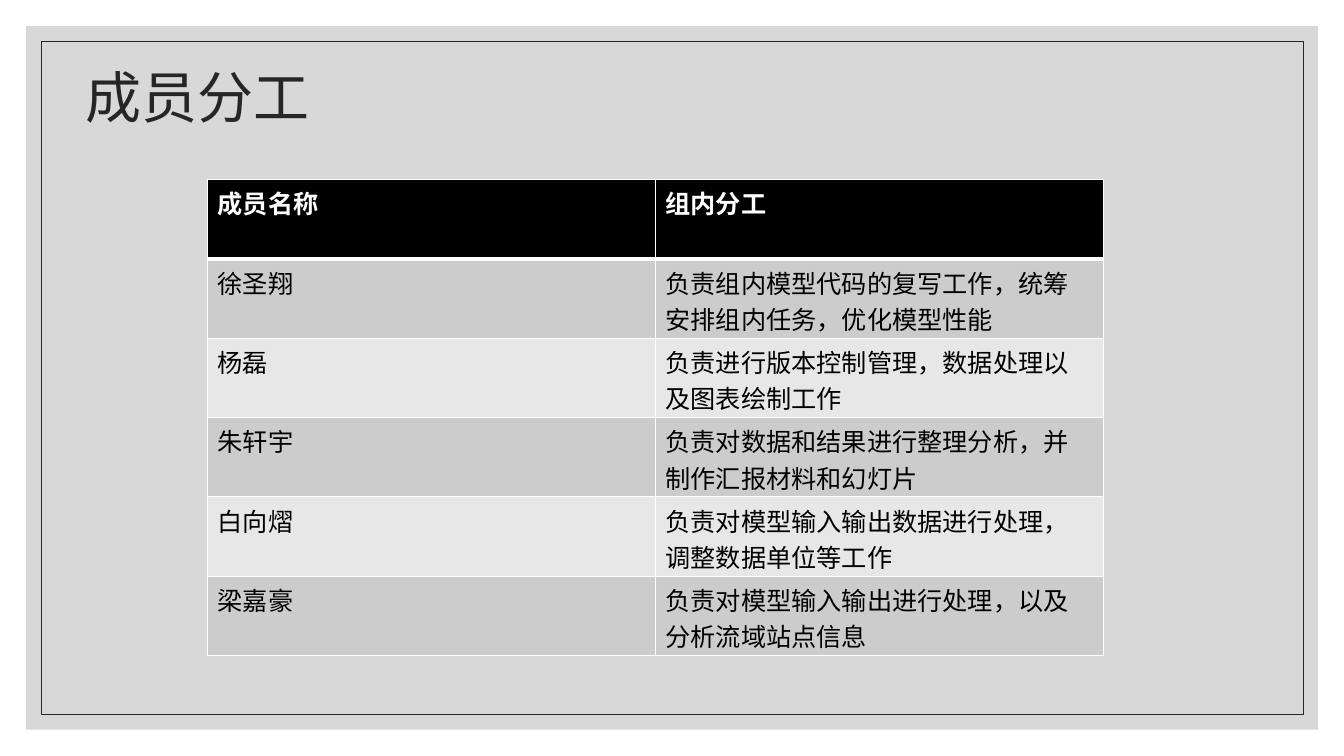
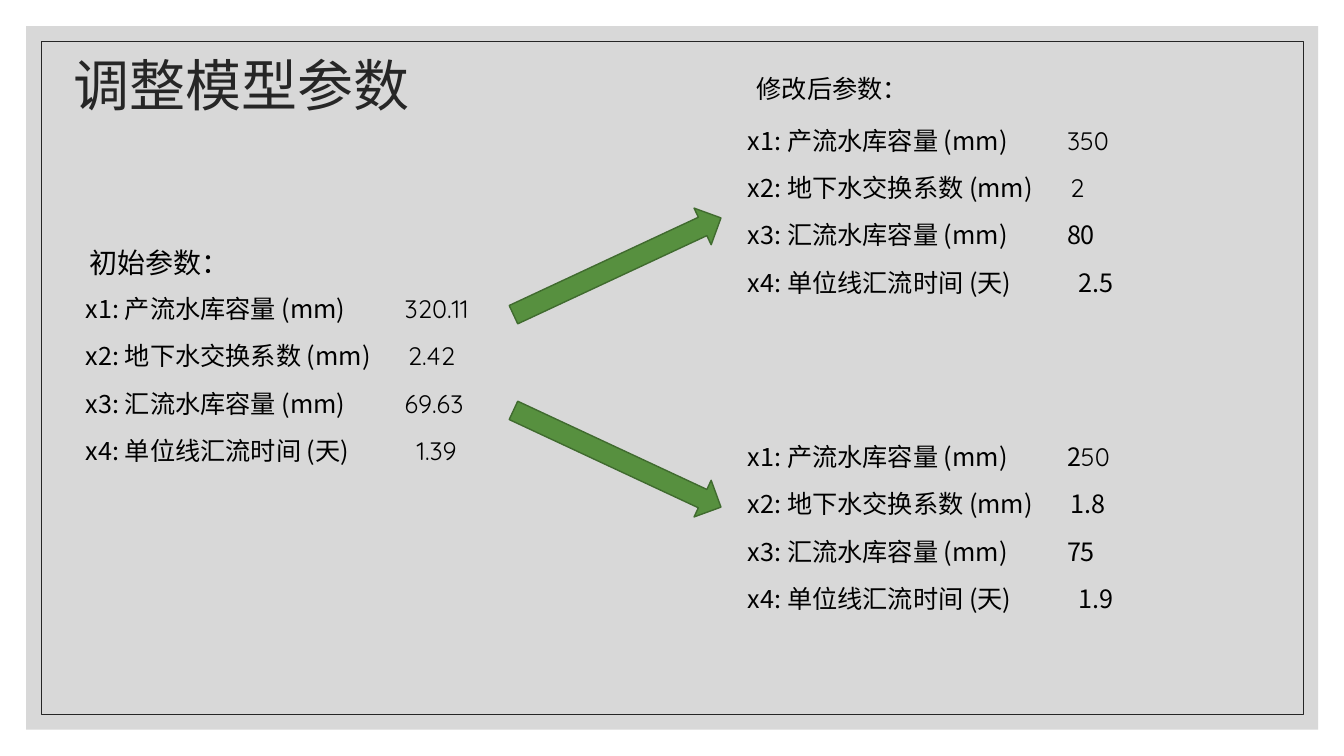
"""Build two slides: the team's division of work and the tuned model parameters."""
import pptx
import pptx.dml.color
import pptx.enum.shapes
import pptx.enum.text
import pptx.oxml.ns
import pptx.util
from lxml import etree

Cm = pptx.util.Cm
Pt = pptx.util.Pt
RGBColor = pptx.dml.color.RGBColor
SHAPE = pptx.enum.shapes.MSO_SHAPE
ALIGN = pptx.enum.text.PP_ALIGN
ANCHOR = pptx.enum.text.MSO_ANCHOR
qn = pptx.oxml.ns.qn

BLACK = RGBColor(0x00, 0x00, 0x00)
WHITE = RGBColor(0xFF, 0xFF, 0xFF)
INK = RGBColor(0x26, 0x26, 0x26)
PANEL = RGBColor(0xBF, 0xBF, 0xBF)
BAND_DARK = RGBColor(0xCC, 0xCC, 0xCC)
BAND_LIGHT = RGBColor(0xE7, 0xE7, 0xE7)
GREEN = RGBColor(0x57, 0x90, 0x3F)
GREEN_EDGE = RGBColor(0x40, 0x6B, 0x2F)
CJK = "Noto Sans CJK SC"
LATIN = "Quicksand"
PLAIN_STYLE = "{2D5ABB26-0587-4C30-8999-92F81FD0307C}"


def add_run(p, text, size=18, font=CJK, color=BLACK, bold=False):
    r = p.add_run()
    r.text = text
    r.font.size = Pt(size)
    r.font.bold = bold
    r.font.color.rgb = color
    r.font.name = font
    etree.SubElement(r.font._element, qn("a:ea"), typeface=CJK)


def add_plain_table(s, left, top, col_widths, row_height, rows):
    frame = s.shapes.add_table(rows, len(col_widths), Cm(left), Cm(top),
                               Cm(sum(col_widths)), Cm(row_height * rows))
    table = frame.table
    table.first_row = False
    table.horz_banding = False
    table._tbl.tblPr.find(qn("a:tableStyleId")).text = PLAIN_STYLE
    for col, width in zip(table.columns, col_widths):
        col.width = Cm(width)
    for row in table.rows:
        row.height = Cm(row_height)
    return table


prs = pptx.Presentation()
prs.slide_width = Cm(33.87)
prs.slide_height = Cm(19.05)

TITLES = [
    ("成员分工", 1.19, 1.32, 7.59),
    ("调整模型参数", 1.02, 1.02, 10.13),
]
for title, left, top, width in TITLES:
    s = prs.slides.add_slide(prs.slide_layouts[6])

    panel = s.shapes.add_shape(SHAPE.RECTANGLE, Cm(0.66), Cm(0.66), Cm(32.56), Cm(17.73))
    panel.shadow.inherit = False
    panel.fill.solid()
    panel.fill.fore_color.rgb = PANEL
    panel.line.fill.background()
    color = panel._element.spPr.find(qn("a:solidFill"))[0]
    etree.SubElement(color, qn("a:alpha"), val="60000")

    border = s.shapes.add_shape(SHAPE.RECTANGLE, Cm(1.04), Cm(1.04), Cm(31.8), Cm(16.97))
    border.shadow.inherit = False
    border.fill.background()
    border.line.color.rgb = INK
    border.line.width = Pt(0.5)

    tf = s.shapes.add_textbox(Cm(left), Cm(top), Cm(width), Cm(2.44)).text_frame
    tf.word_wrap = True
    tf.vertical_anchor = ANCHOR.MIDDLE
    p = tf.paragraphs[0]
    p.alignment = ALIGN.CENTER
    p.line_spacing = 0.9
    add_run(p, title, size=40, color=INK)

team_slide, params_slide = prs.slides

TEAM = [
    ("成员名称", "组内分工"),
    ("徐圣翔", "负责组内模型代码的复写工作，统筹安排组内任务，优化模型性能"),
    ("杨磊", "负责进行版本控制管理，数据处理以及图表绘制工作"),
    ("朱轩宇", "负责对数据和结果进行整理分析，并制作汇报材料和幻灯片"),
    ("白向熠", "负责对模型输入输出数据进行处理，调整数据单位等工作"),
    ("梁嘉豪", "负责对模型输入输出进行处理，以及分析流域站点信息"),
]
table = add_plain_table(team_slide, 5.23, 4.52, [11.29, 11.29], 2, len(TEAM))
table.first_row = True
for i, row in enumerate(TEAM):
    header = i == 0
    for j, text in enumerate(row):
        cell = table.cell(i, j)
        tcPr = cell._tc.get_or_add_tcPr()
        for side in ("L", "R", "T", "B"):
            thick = (header and side == "B") or (i == 1 and side == "T")
            ln = etree.SubElement(tcPr, qn("a:ln" + side), w=str(Pt(3 if thick else 1)))
            fill = etree.SubElement(ln, qn("a:solidFill"))
            etree.SubElement(fill, qn("a:srgbClr"), val=str(WHITE))
        cell.fill.solid()
        cell.fill.fore_color.rgb = BLACK if header else BAND_DARK if i % 2 else BAND_LIGHT
        add_run(cell.text_frame.paragraphs[0], text, font=LATIN,
                color=WHITE if header else BLACK, bold=header)

for text, left, top, size in [("初始参数：", 2.01, 6.05, 20), ("修改后参数：", 18.82, 1.73, 18)]:
    tf = params_slide.shapes.add_textbox(Cm(left), Cm(top), Cm(5), Cm(1.02)).text_frame
    tf.word_wrap = True
    add_run(tf.paragraphs[0], text, size=size)

PARAMETERS = [
    ("x1: 产流水库容量 (mm)", 8.04),
    ("x2: 地下水交换系数 (mm)", 8.12),
    ("x3: 汇流水库容量 (mm)", 8.04),
    ("x4: 单位线汇流时间 (天)", 8.34),
]
VALUE_SETS = [
    (2.13, 7.14, [("", "320.11"), ("", "2.42"), ("", "69.63"), ("", "1.39")]),
    (18.82, 2.9, [("", "350"), ("", "2"), ("80", ""), ("2.5", "")]),
    (18.82, 10.87, [("2", "50"), ("1.8", ""), ("75", ""), ("1.9", "")]),
]
for left, top, values in VALUE_SETS:
    table = add_plain_table(params_slide, left, top, [11.56], 1.19, len(values))
    for i, ((label, tab), (cjk_part, latin_part)) in enumerate(zip(PARAMETERS, values)):
        cell = table.cell(i, 0)
        cell.fill.background()
        cell.vertical_anchor = ANCHOR.MIDDLE
        cell.margin_left = cell.margin_right = cell.margin_top = Cm(0.03)
        cell.margin_bottom = 0
        p = cell.text_frame.paragraphs[0]
        tabs = etree.SubElement(p._p.get_or_add_pPr(), qn("a:tabLst"))
        etree.SubElement(tabs, qn("a:tab"), pos=str(Cm(tab)), algn="l")
        add_run(p, label + "\t" + cjk_part)
        if latin_part:
            add_run(p, latin_part, font=LATIN)

for top, angle in [(6.2, -25), (11.05, 25)]:
    arrow = params_slide.shapes.add_shape(SHAPE.RIGHT_ARROW, Cm(12.67), Cm(top), Cm(5.77), Cm(1.02))
    arrow.shadow.inherit = False
    arrow.rotation = angle
    arrow.fill.solid()
    arrow.fill.fore_color.rgb = GREEN
    arrow.line.color.rgb = GREEN_EDGE
    arrow.line.width = Pt(1)

prs.save("out.pptx")
